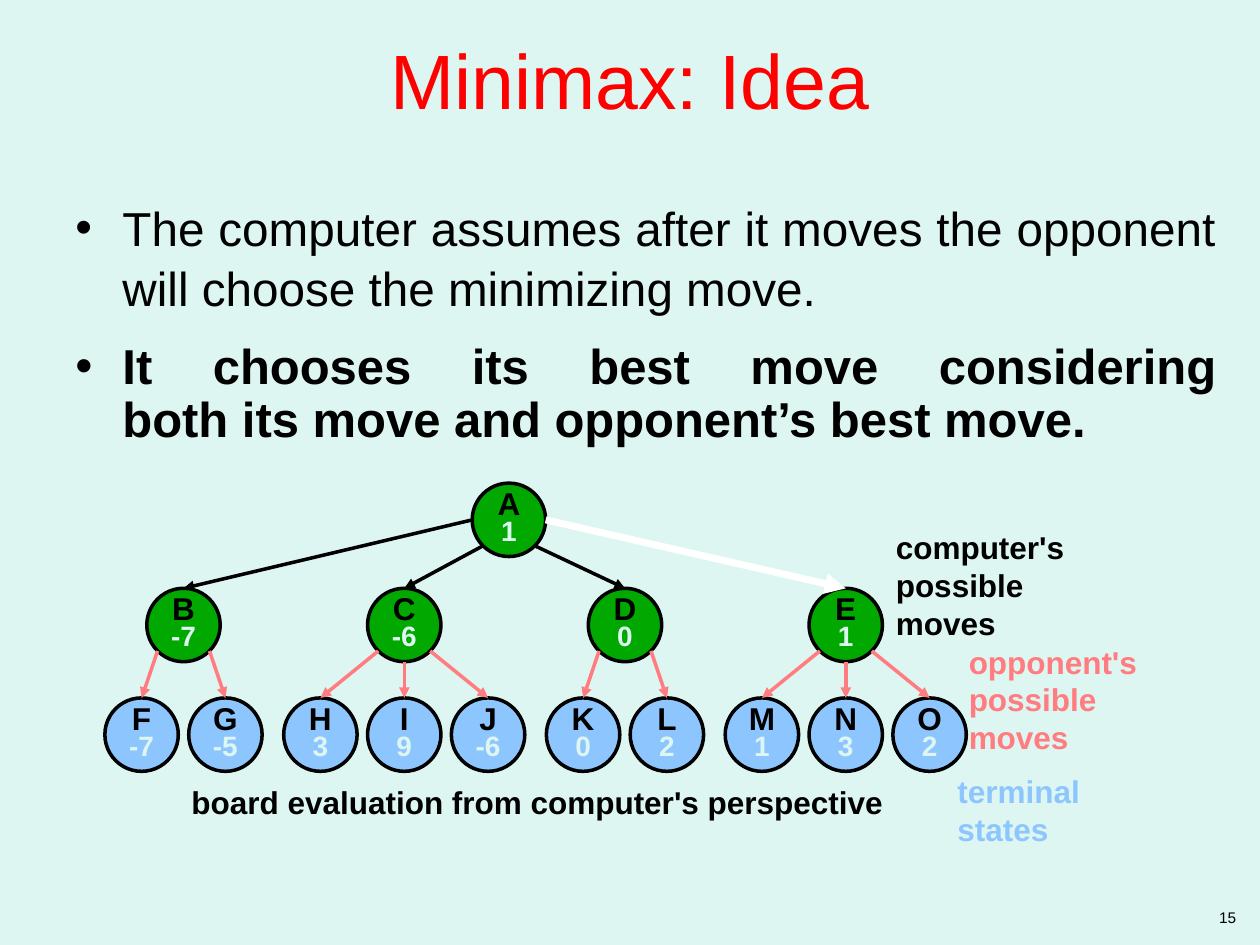
from dataclasses import dataclass
from math import cos, radians, sin

from lxml import etree
from pptx import Presentation
from pptx import util as u
from pptx.dml.color import RGBColor
from pptx.enum import shapes, text
from pptx.oxml import ns

BACKGROUND, BLACK, WHITE, RED = "DEF6F1", "000000", "FFFFFF", "FF0000"
GREEN, PINK, BLUE = "00A800", "FF7C80", "8DC6FF"
DIAMETER = 1.48
ROOT_X, ROOT_Y, MOVE_Y, LEAF_Y = 10.26, 10.48, 12.6, 14.81
MOVE_X, MOVE_GAP, LEAF_GAP = 3.7, 4.45, 1.69


@dataclass
class Branch:
    name: str
    value: str
    angle: int
    leaves: list[tuple[str, str]]
    color: str = BLACK
    width: int = 2


@dataclass
class Label:
    text: str
    left: float
    top: float
    width: float
    height: float
    color: str


@dataclass
class Bullet:
    text: str
    top: float
    height: float
    size: float
    bold: bool
    spacing: float


BRANCHES = [
    Branch("B", "-7", 180, [("F", "-7"), ("G", "-5")]),
    Branch("C", "-6", 135, [("H", "3"), ("I", "9"), ("J", "-6")]),
    Branch("D", "0", 45, [("K", "0"), ("L", "2")]),
    Branch("E", "1", 0, [("M", "1"), ("N", "3"), ("O", "2")], WHITE, 4),
]
LEAF_ANGLES = {2: (135, 45), 3: (135, 90, 45)}
LABELS = [
    Label("computer's\vpossible moves", 17.81, 10.52, 5.26, 1.78, BLACK),
    Label("opponent's\vpossible moves", 19.28, 12.83, 5.26, 1.78, PINK),
    Label("board evaluation from computer's perspective", 3.61, 15.67, 14.45, 1.02, BLACK),
    Label("terminal states", 19.05, 15.44, 4.98, 1.02, BLUE),
]
BULLETS = [
    Bullet("The computer assumes after it moves the opponent will choose the minimizing move.",
           3.81, 2.54, 27.2, False, 1.06),
    Bullet("It chooses its best move considering\vboth its move and opponent’s best move.",
           6.78, 2.74, 28, True, 0.9),
]


def rgb(value: str) -> RGBColor:
    return RGBColor.from_string(value)


def style(p, size: float, color: str, bold: bool = False) -> None:
    for r in p.runs:
        r.font.name = "Arial"
        r.font.size = u.Pt(size)
        r.font.bold = bold
        r.font.color.rgb = rgb(color)


def add_text(s, content: str, box: tuple, size: float, color: str,
             bold: bool = False, wrap: bool = True):
    sp = s.shapes.add_textbox(*map(u.Cm, box))
    tf = sp.text_frame
    tf.word_wrap = wrap
    p = tf.paragraphs[0]
    p.text = content
    style(p, size, color, bold)
    return sp


def add_bullet(s, bullet: Bullet) -> None:
    sp = add_text(s, bullet.text, (1.27, bullet.top, 23.5, bullet.height),
                  bullet.size, BLACK, bullet.bold)
    p = sp.text_frame.paragraphs[0]
    p.alignment = text.PP_ALIGN.JUSTIFY
    p.line_spacing = bullet.spacing
    pPr = p._p.get_or_add_pPr()
    pPr.set("marL", str(u.Cm(0.95)))
    pPr.set("indent", str(-u.Cm(0.95)))
    color = etree.SubElement(pPr, ns.qn("a:buClr"))
    etree.SubElement(color, ns.qn("a:srgbClr")).set("val", BLACK)
    etree.SubElement(pPr, ns.qn("a:buFont")).set("typeface", "Arial")
    etree.SubElement(pPr, ns.qn("a:buChar")).set("char", "•")


def add_node(s, name: str, value: str, x: float, y: float, fill: str):
    corner = (x - DIAMETER / 2, y - DIAMETER / 2, DIAMETER, DIAMETER)
    sp = s.shapes.add_shape(shapes.MSO_SHAPE.OVAL, *map(u.Cm, corner))
    sp.shadow.inherit = False
    sp.fill.solid()
    sp.fill.fore_color.rgb = rgb(fill)
    sp.line.color.rgb = rgb(BLACK)
    sp.line.width = u.Pt(2)
    tf = sp.text_frame
    tf.word_wrap = False
    tf.vertical_anchor = text.MSO_ANCHOR.MIDDLE
    tf.text = f"{name}\n{value}"
    for p, size, color in zip(tf.paragraphs, (18, 16), (BLACK, BACKGROUND)):
        p.alignment = text.PP_ALIGN.CENTER
        p.line_spacing = 0.75
        style(p, size, color, True)
    return sp


def add_arrow(s, parent, child, angle: int, color: str, width: float) -> None:
    radius = parent.width / 2
    x = int(parent.left + radius * (1 + cos(radians(angle))))
    y = int(parent.top + radius * (1 + sin(radians(angle))))
    line = s.shapes.add_connector(shapes.MSO_CONNECTOR.STRAIGHT, x, y, x, y)
    line.end_connect(child, 0)
    line.line.color.rgb = rgb(color)
    line.line.width = u.Pt(width)
    etree.SubElement(line.line._get_or_add_ln(), ns.qn("a:tailEnd")).set("type", "triangle")
    etree.SubElement(line._element.spPr, ns.qn("a:effectLst"))


def add_tree(s) -> None:
    root = add_node(s, "A", "1", ROOT_X, ROOT_Y, GREEN)
    for i, branch in enumerate(BRANCHES):
        x = MOVE_X + i * MOVE_GAP
        move = add_node(s, branch.name, branch.value, x, MOVE_Y, GREEN)
        add_arrow(s, root, move, branch.angle, branch.color, branch.width)
        count = len(branch.leaves)
        for j, (name, value) in enumerate(branch.leaves):
            leaf_x = x + (j - (count - 1) / 2) * LEAF_GAP
            leaf = add_node(s, name, value, leaf_x, LEAF_Y, BLUE)
            add_arrow(s, move, leaf, LEAF_ANGLES[count][j], PINK, 2)


def main() -> None:
    prs = Presentation()
    prs.slide_width, prs.slide_height = u.Cm(25.4), u.Cm(19.05)
    s = prs.slides.add_slide(prs.slide_layouts[5])
    s.background.fill.solid()
    s.background.fill.fore_color.rgb = rgb(BACKGROUND)

    title = s.shapes.title
    title.left, title.top, title.width, title.height = map(u.Cm, (1.27, 0, 22.86, 3.18))
    title.text_frame.text = "Minimax: Idea"
    title.text_frame.vertical_anchor = text.MSO_ANCHOR.MIDDLE
    p = title.text_frame.paragraphs[0]
    p.alignment = text.PP_ALIGN.CENTER
    style(p, 44, RED)

    for bullet in BULLETS:
        add_bullet(s, bullet)
    add_tree(s)
    for label in LABELS:
        box = (label.left, label.top, label.width, label.height)
        sp = add_text(s, label.text, box, 18, label.color, True, False)
        sp.text_frame.auto_size = text.MSO_AUTO_SIZE.SHAPE_TO_FIT_TEXT
    number = add_text(s, "15", (19.25, 18.19, 5.92, 0.64), 8.8, BLACK)
    number.text_frame.paragraphs[0].alignment = text.PP_ALIGN.RIGHT
    prs.save("out.pptx")


if __name__ == "__main__":
    main()
